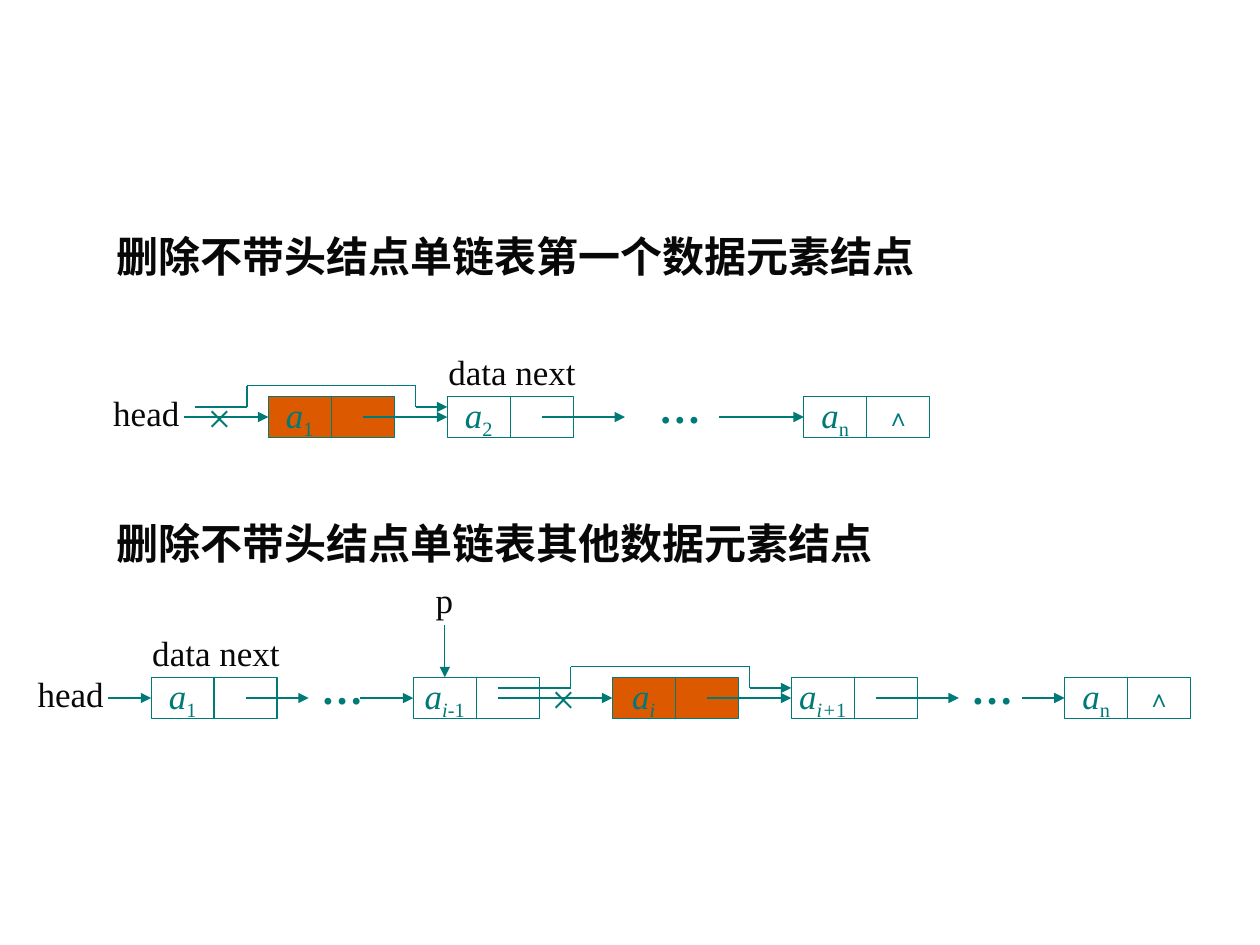
from itertools import pairwise

from lxml import etree
from pptx import Presentation
from pptx.dml.color import RGBColor
from pptx.enum.shapes import MSO_CONNECTOR, MSO_SHAPE
from pptx.enum.text import MSO_ANCHOR, MSO_AUTO_SIZE, PP_ALIGN
from pptx.oxml.ns import qn
from pptx.util import Inches, Pt

STRAIGHT = MSO_CONNECTOR.STRAIGHT
RECTANGLE = MSO_SHAPE.RECTANGLE
MIDDLE = MSO_ANCHOR.MIDDLE
CENTER = PP_ALIGN.CENTER
GROW = MSO_AUTO_SIZE.SHAPE_TO_FIT_TEXT

FONT = "Times New Roman"
INK, TEAL, ORANGE = "080808", "007A77", "DC5900"
CELL_W, CELL_H = 0.5, 0.33

HEADINGS = [
    ("删除不带头结点单链表第一个数据元素结点", 1.78, 7.33),
    ("删除不带头结点单链表其他数据元素结点", 4.06, 6.67),
]

# Nodes: left, subscript runs (text, italic), removed, last.
# Labels and marks: text, left. Arrows: from x, to x.
# Bypass: start, rise, fall and end x.
LISTS = [
    {
        "axis": 3.31,
        "nodes": [
            (2.13, [("1", False)], True, False),
            (3.55, [("2", False)], False, False),
            (6.38, [("n", False)], False, True),
        ],
        "arrows": [(1.46, 2.13), (2.88, 3.55), (4.3, 4.96), (5.71, 6.38)],
        "labels": [("head", 0.8), ("data next", 3.46)],
        "marks": [("…", 5.13), ("×", 1.55)],
        "bypass": (1.55, 1.96, 3.3, 3.55),
    },
    {
        "axis": 5.54,
        "nodes": [
            (1.2, [("1", False)], False, False),
            (3.28, [("i-", True), ("1", False)], False, False),
            (4.86, [("i", True)], True, False),
            (6.28, [("i+", True), ("1", False)], False, False),
            (8.45, [("n", False)], False, True),
        ],
        "arrows": [(0.86, 1.2), (1.95, 2.45), (2.86, 3.28), (3.95, 4.86),
                   (5.61, 6.28), (6.95, 7.61), (8.11, 8.45)],
        "labels": [("head", 0.2), ("data next", 1.11), ("p", 3.36)],
        "marks": [("…", 2.45), ("…", 7.61), ("×", 4.28)],
        "bypass": (3.95, 4.53, 5.95, 6.28),
        "pointer": 3.53,
    },
]

# Text: (rise of the box top above the axis, width)
LABEL_PLACES = {"head": (0.25, 0.75), "data next": (0.58, 1.42), "p": (1, 0.42)}
MARK_PLACES = {"…": (0.33, 0.75), "×": (0.25, 0.5)}
BYPASS_LOW, BYPASS_HIGH = 0.08, 0.25
POINTER_RISE = 0.58


def color(value):
    return RGBColor.from_string(value)


def add_run(paragraph, text, size, ink, bold=False, italic=False, subscript=False):
    run = paragraph.add_run()
    run.text = text
    font = run.font
    font.name, font.size, font.bold, font.italic = FONT, Pt(size), bold, italic
    font.color.rgb = color(ink)
    if subscript:
        font._element.set("baseline", "-25000")


def add_label(shapes, text, left, top, width, size, ink, bold=False):
    box = shapes.add_textbox(Inches(left), Inches(top), Inches(width),
                             Inches(0.5 if size == 24 else 0.44))
    frame = box.text_frame
    frame.word_wrap = True
    frame.auto_size = GROW
    add_run(frame.paragraphs[0], text, size, ink, bold)


def add_line(shapes, start, end, arrow=False):
    line = shapes.add_connector(STRAIGHT, *map(Inches, (*start, *end)))
    line.line.color.rgb = color(TEAL)
    line.line.width = Pt(0.75)
    if arrow:
        etree.SubElement(line.line._get_or_add_ln(), qn("a:tailEnd"), type="triangle")
    etree.SubElement(line._element.spPr, qn("a:effectLst"))


def add_cell(shapes, left, axis, removed):
    """Draw one half of a node and return its empty paragraph."""
    cell = shapes.add_shape(RECTANGLE, Inches(left), Inches(axis - CELL_H / 2),
                            Inches(CELL_W), Inches(CELL_H))
    cell.shadow.inherit = False
    if removed:
        cell.fill.solid()
        cell.fill.fore_color.rgb = color(ORANGE)
    else:
        cell.fill.background()
    cell.line.color.rgb = color(TEAL)
    cell.line.width = Pt(0.75)
    frame = cell.text_frame
    frame.word_wrap = False
    frame.vertical_anchor = MIDDLE
    frame.paragraphs[0].alignment = CENTER
    return frame.paragraphs[0]


def add_node(shapes, axis, left, subscripts, removed, last):
    data = add_cell(shapes, left, axis, removed)
    add_run(data, "a", 20, TEAL, italic=True)
    for text, italic in subscripts:
        add_run(data, text, 20, TEAL, italic=italic, subscript=True)
    link = add_cell(shapes, left + CELL_W, axis, removed)
    if last:
        add_run(link, "∧", 14, TEAL, bold=True)


def add_bypass(shapes, axis, start, rise, fall, end):
    low, high = axis - BYPASS_LOW, axis - BYPASS_HIGH
    corners = [(start, low), (rise, low), (rise, high),
               (fall, high), (fall, low), (end, low)]
    for here, there in pairwise(corners):
        add_line(shapes, here, there, arrow=there == corners[-1])


def add_linked_list(shapes, chain):
    axis = chain["axis"]
    for node in chain["nodes"]:
        add_node(shapes, axis, *node)
    for start, end in chain["arrows"]:
        add_line(shapes, (start, axis), (end, axis), arrow=True)
    for text, left in chain["labels"]:
        rise, width = LABEL_PLACES[text]
        add_label(shapes, text, left, axis - rise, width, 20, INK)
    for text, left in chain["marks"]:
        rise, width = MARK_PLACES[text]
        add_label(shapes, text, left, axis - rise, width, 24, TEAL, bold=text == "…")
    add_bypass(shapes, axis, *chain["bypass"])
    if "pointer" in chain:
        x = chain["pointer"]
        add_line(shapes, (x, axis - POINTER_RISE), (x, axis - CELL_H / 2), arrow=True)


def main():
    deck = Presentation()
    deck.slide_width, deck.slide_height = Inches(10), Inches(7.5)
    shapes = deck.slides.add_slide(deck.slide_layouts.get_by_name("Blank")).shapes
    for (heading, top, width), chain in zip(HEADINGS, LISTS):
        add_label(shapes, heading, 0.83, top, width, 24, INK, bold=True)
        add_linked_list(shapes, chain)
    deck.save("out.pptx")


if __name__ == "__main__":
    main()
